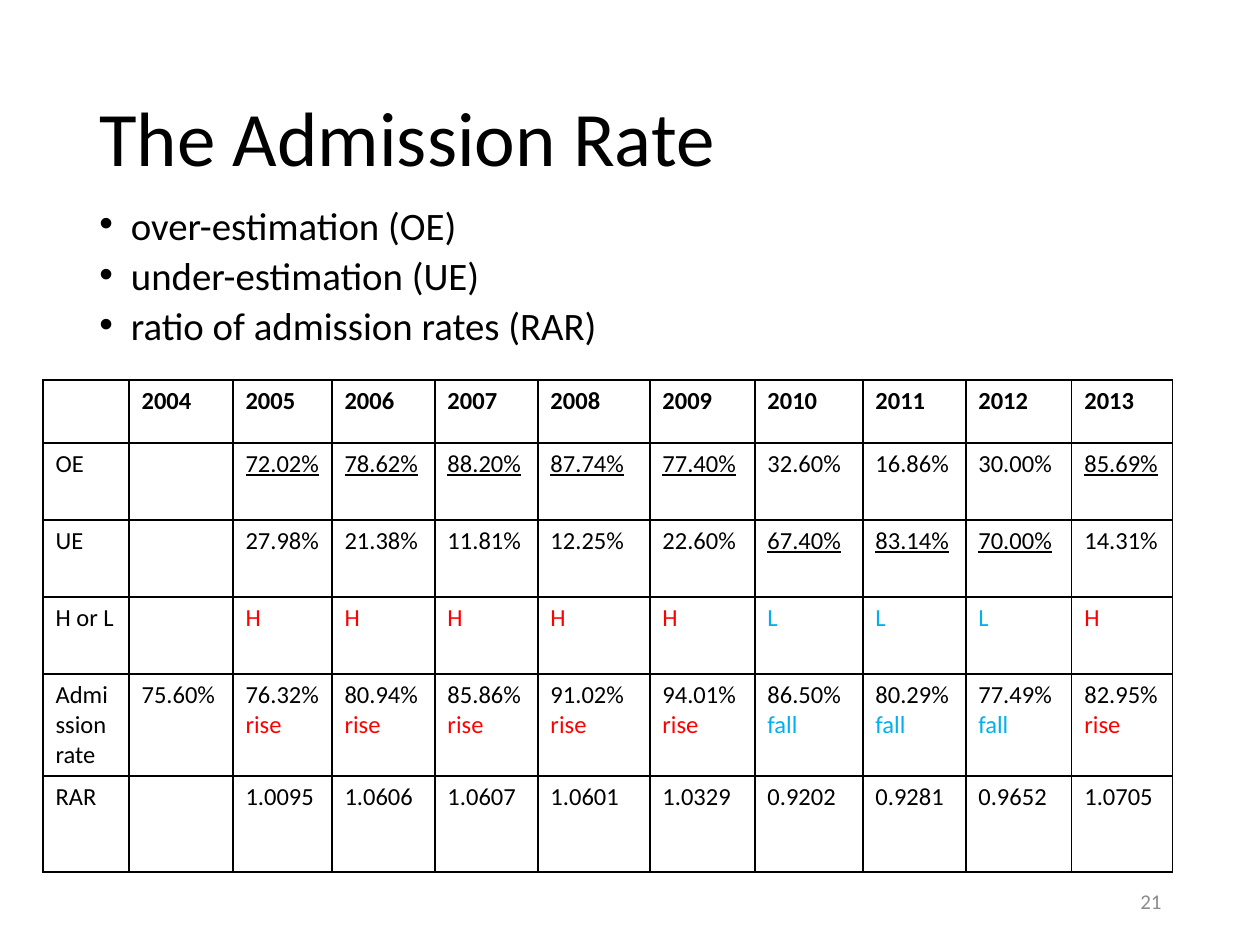
from dataclasses import dataclass

from lxml import etree
from pptx import Presentation
from pptx import util as u
from pptx.dml.color import RGBColor
from pptx.enum import text
from pptx.oxml.ns import qn

PX = 914400 / 126  # EMU in one px


@dataclass(frozen=True)
class Theme:
    font: str = "Calibri"
    ink: str = "000000"
    muted: str = "8C8C8C"
    high: str = "FF0000"
    low: str = "00B0F0"
    title: float = 44
    body: float = 22.2
    cell: float = 14
    small: float = 12
    border: float = 1


def px(length):
    return u.Emu(round(length * PX))


class SlideBuilder:
    def __init__(self, slide, theme):
        self.slide = slide
        self.theme = theme

    def run(self, paragraph, words, size, color=None, bold=False, underline=False):
        run = paragraph.add_run()
        run.text = words
        font = run.font
        font.name, font.size = self.theme.font, u.Pt(size)
        font.bold, font.underline = bold, underline
        font.color.rgb = RGBColor.from_string(color or self.theme.ink)

    def frame(self, box, anchor):
        frame = self.slide.shapes.add_textbox(*map(px, box)).text_frame
        frame.word_wrap = True
        frame.vertical_anchor = anchor
        return frame

    def line(self, box, words, size, color=None, align=text.PP_ALIGN.LEFT, spacing=1.0):
        paragraph = self.frame(box, text.MSO_ANCHOR.MIDDLE).paragraphs[0]
        paragraph.alignment = align
        paragraph.line_spacing = spacing
        self.run(paragraph, words, size, color)

    def bullets(self, box, items):
        frame = self.frame(box, text.MSO_ANCHOR.TOP)
        for i, item in enumerate(items):
            paragraph = frame.add_paragraph() if i else frame.paragraphs[0]
            paragraph.line_spacing = 0.7
            if i:
                paragraph.space_before = u.Pt(10)
            props = paragraph._p.get_or_add_pPr()
            props.set("marL", str(u.Inches(0.25)))
            props.set("indent", str(-u.Inches(0.25)))
            etree.SubElement(props, qn("a:buFont"), typeface="Arial")
            etree.SubElement(props, qn("a:buChar"), char="•")
            self.run(paragraph, item, self.theme.body)

    def borders(self, cell):
        props = cell._tc.get_or_add_tcPr()
        for side in ("lnL", "lnR", "lnT", "lnB"):
            line = etree.SubElement(props, qn(f"a:{side}"), w=str(u.Pt(self.theme.border)))
            fill = etree.SubElement(line, qn("a:solidFill"))
            etree.SubElement(fill, qn("a:srgbClr"), val=self.theme.ink)

    def table(self, left, top, widths, heights, rows):
        """Each cell is a list of (words, style) lines."""
        table = self.slide.shapes.add_table(
            len(heights), len(widths), px(left), px(top),
            px(sum(widths)), px(sum(heights))).table
        table.first_row = table.horz_banding = False
        for column, width in zip(table.columns, widths):
            column.width = px(width)
        for row, height, contents in zip(table.rows, heights, rows):
            row.height = px(height)
            for cell, lines in zip(row.cells, contents):
                self.borders(cell)
                cell.fill.background()
                frame = cell.text_frame
                for i, (words, style) in enumerate(lines):
                    paragraph = frame.add_paragraph() if i else frame.paragraphs[0]
                    self.run(paragraph, words, self.theme.cell, **style)


# Yearly figures; the first year has only an admission rate
YEARS = range(2004, 2014)
OVER = [72.02, 78.62, 88.20, 87.74, 77.40, 32.60, 16.86, 30.00, 85.69]
UNDER = [27.98, 21.38, 11.81, 12.25, 22.60, 67.40, 83.14, 70.00, 14.31]
RATES = [75.60, 76.32, 80.94, 85.86, 91.02, 94.01, 86.50, 80.29, 77.49, 82.95]
RATIOS = [1.0095, 1.0606, 1.0607, 1.0601, 1.0329, 0.9202, 0.9281, 0.9652, 1.0705]


def plain(words, **style):
    return [(words, style)]


def share(value):
    return plain(f"{value:.2f}%", underline=value > 50)


def admission_rows(theme):
    def signal(is_high, high, low):
        return plain(high if is_high else low, color=theme.high if is_high else theme.low)

    rates = [plain(f"{RATES[0]:.2f}%")]
    for before, now in zip(RATES, RATES[1:]):
        rates.append(plain(f"{now:.2f}%") + signal(now > before, "rise", "fall"))
    return [
        [[]] + [plain(str(year), bold=True) for year in YEARS],
        [plain("OE"), []] + [share(value) for value in OVER],
        [plain("UE"), []] + [share(value) for value in UNDER],
        [plain("H or L"), []] + [signal(o > n, "H", "L") for o, n in zip(OVER, UNDER)],
        [plain("Admission rate")] + rates,
        [plain("RAR"), []] + [plain(f"{ratio:.4f}") for ratio in RATIOS],
    ]


def main():
    deck = Presentation()
    deck.slide_width, deck.slide_height = px(1260), px(945)
    theme = Theme()
    page = SlideBuilder(deck.slides.add_slide(deck.slide_layouts[6]), theme)

    # Heading and terms
    page.line((87, 50, 1086, 183), "The Admission Rate", theme.title, spacing=0.9)
    page.bullets((87, 208, 1072, 156), [
        "over-estimation (OE)",
        "under-estimation (UE)",
        "ratio of admission rates (RAR)",
    ])

    # Estimates and rates by year
    page.table(43, 380,
               [86, 104, 99, 103, 103, 112, 105, 108, 103, 106, 101],
               [63, 77, 77, 77, 102, 96],
               admission_rows(theme))

    # Page number
    page.line((890, 876, 284, 50), "21", theme.small, theme.muted, text.PP_ALIGN.RIGHT)

    deck.save("out.pptx")


if __name__ == "__main__":
    main()
